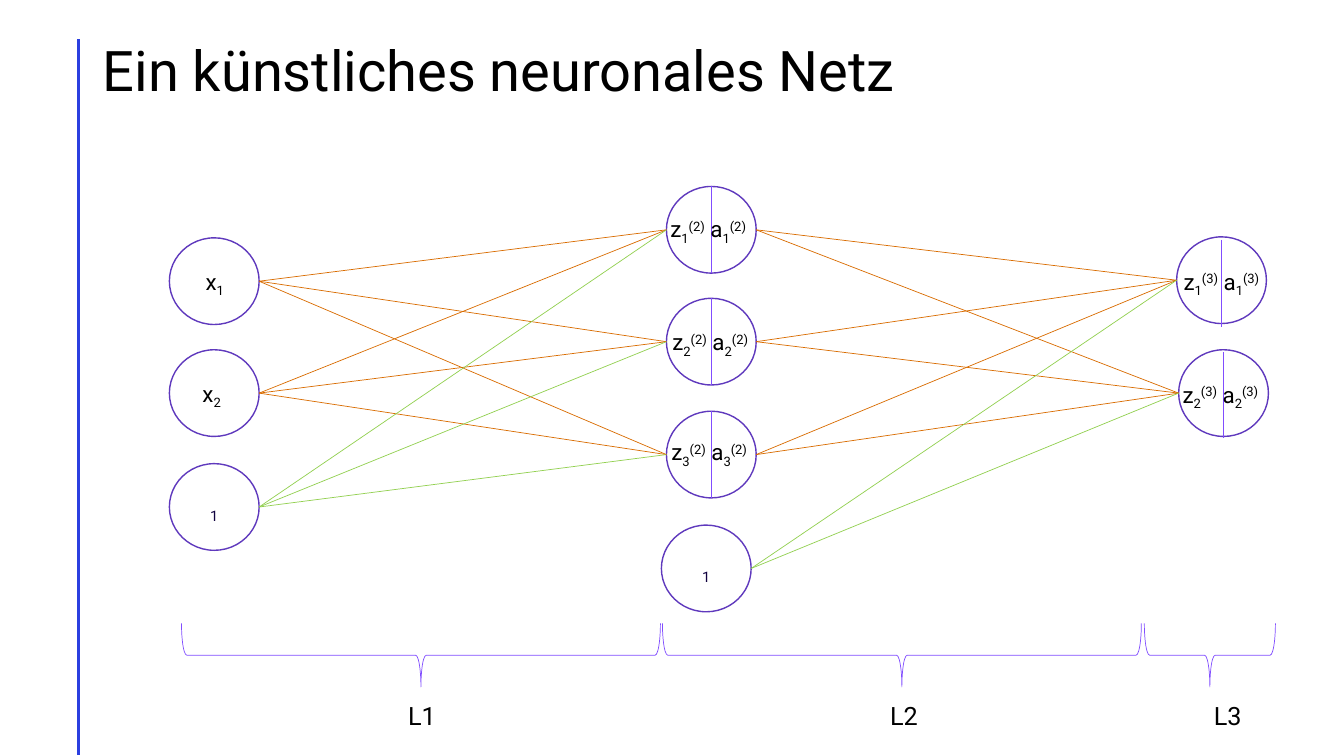
from dataclasses import dataclass
from itertools import product

from lxml import etree
from pptx import Presentation
from pptx.dml.color import RGBColor
from pptx.enum.shapes import MSO_CONNECTOR, MSO_SHAPE
from pptx.enum.text import MSO_ANCHOR, PP_ALIGN
from pptx.oxml.ns import qn
from pptx.util import Inches, Pt

STRAIGHT = MSO_CONNECTOR.STRAIGHT
CIRCLE = MSO_SHAPE.FLOWCHART_CONNECTOR
BRACE = MSO_SHAPE.LEFT_BRACE
MIDDLE = MSO_ANCHOR.MIDDLE
CENTER = PP_ALIGN.CENTER

FONT = "Roboto"
COLORS = {
    "rule": "2B3FE0", "text": "000000", "bias": "10013F", "ring": "5F39BD",
    "weight": "D96C00", "offset": "92D050", "brace": "814DFF",
}
WIDE, HIGH = 0.89, 0.86
DEPTH = 0.63
SUB, SUP = -25000, 30000

Glyph = tuple[str, int]
Point = tuple[float, float]


@dataclass(frozen=True)
class Node:
    left: float
    top: float
    glyphs: list[Glyph]
    dx: float = 0
    dy: float = 0.25
    drop: float | None = None

    def port(self, right: bool) -> Point:
        """Give the middle of the left or right edge."""
        return self.left + WIDE * right, self.top + HIGH / 2


@dataclass(frozen=True)
class Layer:
    name: str
    start: float
    end: float
    label: float


def unit(row: int, layer: int) -> list[Glyph]:
    """List the runs of a z | a pair."""
    tail = [(str(row), SUB), (f"({layer})", SUP)]
    return [("z", 0), *tail, (" a", 0), *tail]


BIAS = [("1", SUB)]
INPUTS = [
    Node(1.68, 2.36, [("x", 0), ("1", SUB)], 0.26),
    Node(1.68, 3.47, [("x", 0), ("2", SUB)], 0.23),
]
HIDDEN = [
    Node(6.61, 1.85, unit(1, 2), -0.06, 0.24, 0),
    Node(6.61, 2.96, unit(2, 2), -0.04, 0.25, 0),
    Node(6.61, 4.08, unit(3, 2), -0.05, 0.22, 0),
]
OUTPUTS = [
    Node(11.67, 2.35, unit(1, 3), -0.03, 0.26, 0.03),
    Node(11.69, 3.47, unit(2, 3), -0.06, 0.26, 0.02),
]
BIASES = [Node(1.68, 4.6, BIAS), Node(6.56, 5.21, BIAS)]
LAYERS = [
    Layer("L1", 1.8, 6.55, 3.95),
    Layer("L2", 6.57, 11.32, 8.73),
    Layer("L3", 11.35, 12.65, 11.94),
]

deck = Presentation()
deck.slide_width, deck.slide_height = Inches(13.33), Inches(7.5)
slide = deck.slides.add_slide(deck.slide_layouts[6])
shapes = slide.shapes


def paint(color: str) -> RGBColor:
    return RGBColor.from_string(COLORS[color])


def write(frame, glyphs: list[Glyph], size: float, color: str = "text") -> None:
    """Fill the first paragraph with runs of (text, baseline shift)."""
    para = frame.paragraphs[0]
    for text, shift in glyphs:
        run = para.add_run()
        run.text = text
        run.font.name = FONT
        run.font.size = Pt(size)
        run.font.color.rgb = paint(color)
        if shift:
            run._r.get_or_add_rPr().set("baseline", str(shift))


def label(left: float, top: float, width: float, height: float,
          glyphs: list[Glyph], size: float, wrap: bool = True):
    box = shapes.add_textbox(*map(Inches, (left, top, width, height)))
    frame = box.text_frame
    frame.word_wrap = wrap
    write(frame, glyphs, size)
    return frame


def line(start: Point, end: Point, color: str, width: float = 0.5) -> None:
    link = shapes.add_connector(STRAIGHT, *map(Inches, (*start, *end)))
    link.line.color.rgb = paint(color)
    link.line.width = Pt(width)
    etree.SubElement(link._element.spPr, qn("a:effectLst"))


def outline(kind, left: float, top: float, width: float, height: float,
            color: str, weight: float):
    """Add an unfilled shape with a thin line."""
    shape = shapes.add_shape(kind, *map(Inches, (left, top, width, height)))
    shape.shadow.inherit = False
    shape.fill.background()
    shape.line.color.rgb = paint(color)
    shape.line.width = Pt(weight)
    return shape


def draw_node(node: Node) -> None:
    ring = outline(CIRCLE, node.left, node.top, WIDE, HIGH, "ring", 1)
    if node.glyphs is BIAS:
        frame = ring.text_frame
        frame.vertical_anchor = MIDDLE
        frame.paragraphs[0].alignment = CENTER
        write(frame, BIAS, 18, "bias")
        return
    if node.drop is not None:
        x, y = node.left + WIDE / 2, node.top + node.drop
        line((x, y), (x, y + HIGH), "brace")
    width = 1.25 if node.drop is not None else 0.41
    label(node.left + node.dx, node.top + node.dy, width, 0.37, node.glyphs, 16)


def link_nodes(left: list[Node], right: list[Node], color: str) -> None:
    for start, end in product(left, right):
        line(start.port(True), end.port(False), color)


def draw_layer(layer: Layer) -> None:
    """Draw a brace that opens upward, with its name below."""
    span = layer.end - layer.start
    mid = (layer.start + layer.end) / 2
    brace = outline(BRACE, mid - DEPTH / 2, 6.5 - span / 2, DEPTH, span,
                    "brace", 0.5)
    brace.rotation = 270
    label(layer.label, 6.9, 0.48, 0.4, [(layer.name, 0)], 18, False)


def main() -> None:
    line((0.78, 0.39), (0.78, 7.49), "rule", 2)
    title = label(0.92, 0, 11.5, 1.45,
                  [("Ein künstliches neuronales Netz", 0)], 40)
    title.vertical_anchor = MIDDLE
    title.paragraphs[0].line_spacing = 0.9
    for node in INPUTS + HIDDEN + OUTPUTS + BIASES:
        draw_node(node)
    link_nodes(INPUTS, HIDDEN, "weight")
    link_nodes(HIDDEN, OUTPUTS, "weight")
    for bias, layer in zip(BIASES, (HIDDEN, OUTPUTS)):
        link_nodes([bias], layer, "offset")
    for layer in LAYERS:
        draw_layer(layer)
    deck.save("out.pptx")


if __name__ == "__main__":
    main()
